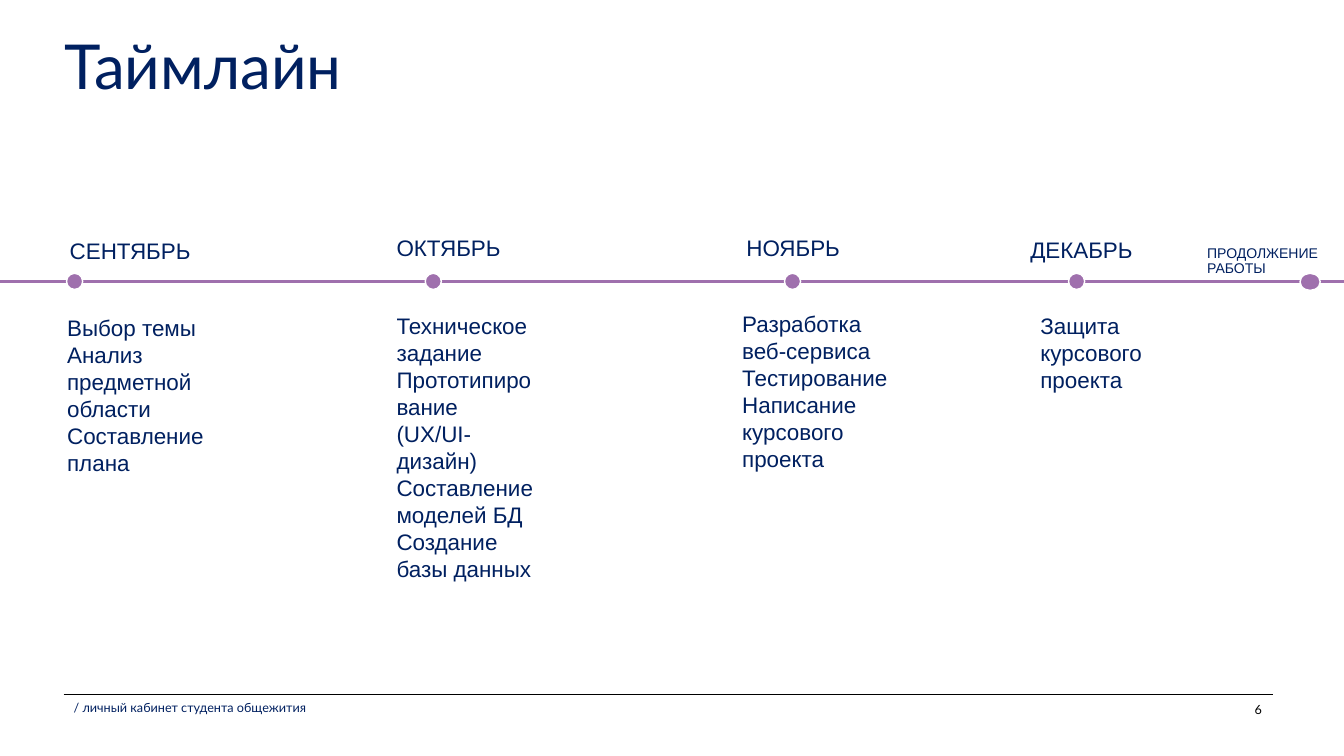
import pptx
import pptx.dml.color
import pptx.enum.shapes
import pptx.enum.text
import pptx.oxml.ns
import pptx.util
from lxml import etree

Pt = pptx.util.Pt
RGB = pptx.dml.color.RGBColor.from_string

# Content: heading and tasks per stage, each box as (left, top, width, height)
TITLE = "Таймлайн"
FOOTER = "/ личный кабинет студента общежития"
PAGE = "6"
MONTHS = [
    dict(name="СЕНТЯБРЬ", dot_x=53.2, head=(42.6, 167.2), body=(40.8, 220, 111.6, 143),
         tasks=["Выбор темы", "Анализ предметной области", "Составление плана"]),
    dict(name="ОКТЯБРЬ", dot_x=308.9, head=(275.6, 165.4), body=(275.6, 218.9, 111.6, 259),
         tasks=["Техническое задание", "Прототипирование (UX/UI-дизайн)",
                "Составление моделей БД", "Создание базы данных"]),
    dict(name="НОЯБРЬ", dot_x=565, head=(525, 165.2), body=(522, 217.4, 121.7, 124),
         tasks=["Разработка веб-сервиса", "Тестирование",
                "Написание курсового проекта"]),
    dict(name="ДЕКАБРЬ", dot_x=767.5, head=(727.4, 166.7), body=(734.6, 218.9, 111.6, 85),
         tasks=["Защита курсового проекта"]),
]
SEQUEL = dict(name="ПРОДОЛЖЕНИЕ РАБОТЫ", dot_x=934, head=(853.5, 171.8))

THEME = dict(
    ink=RGB("002060"), accent=RGB("9F70AD"), black=RGB("000000"), white=RGB("FFFFFF"),
    display="Lato", text="Arial",
    title_size=44.1, text_size=16, sequel_size=10, footer_size=9,
)
SLIDE_W, SLIDE_H = 958.12, 538.62
AXIS_Y = 200.5
RULE_Y = 495
MARGIN = 45.4
HEAD_W, HEAD_H = 126, 26
DOT = 11.5


def write(frame, lines, size, font, color=THEME["ink"], spacing=None, align=None):
    frame.word_wrap = True
    for i, line in enumerate(lines):
        paragraph = frame.paragraphs[0] if i == 0 else frame.add_paragraph()
        paragraph.text = line
        paragraph.font.size = Pt(size)
        paragraph.font.name = font
        paragraph.font.color.rgb = color
        paragraph.line_spacing = spacing
        paragraph.alignment = align


def add_text(slide, box, lines, size, font, **style):
    frame = slide.shapes.add_textbox(*map(Pt, box)).text_frame
    write(frame, lines, size, font, **style)
    return frame


def add_rule(slide, left, right, y, color, width):
    rule = slide.shapes.add_connector(
        pptx.enum.shapes.MSO_CONNECTOR.STRAIGHT, Pt(left), Pt(y), Pt(right), Pt(y))
    rule.line.color.rgb = color
    rule.line.width = Pt(width)
    etree.SubElement(rule.element.spPr, pptx.oxml.ns.qn("a:effectLst"))


def add_dot(slide, center_x, width=DOT, height=DOT):
    dot = slide.shapes.add_shape(
        pptx.enum.shapes.MSO_SHAPE.OVAL, Pt(center_x - width / 2),
        Pt(AXIS_Y - DOT / 2), Pt(width), Pt(height))
    dot.shadow.inherit = False
    dot.fill.solid()
    dot.fill.fore_color.rgb = THEME["accent"]
    dot.line.color.rgb = THEME["white"]
    dot.line.width = Pt(1)


def main():
    deck = pptx.Presentation()
    deck.slide_width, deck.slide_height = Pt(SLIDE_W), Pt(SLIDE_H)
    slide = deck.slides.add_slide(deck.slide_layouts[5])

    # Title
    title = slide.shapes.title
    title.left, title.top, title.width, title.height = map(Pt, (38.9, 35.3, 868.3, 28))
    title.text_frame.vertical_anchor = pptx.enum.text.MSO_ANCHOR.MIDDLE
    title.text_frame.auto_size = pptx.enum.text.MSO_AUTO_SIZE.NONE
    write(title.text_frame, [TITLE], THEME["title_size"], THEME["display"],
          spacing=0.9, align=pptx.enum.text.PP_ALIGN.LEFT)

    # Footer
    add_rule(slide, MARGIN, 907.2, RULE_Y, THEME["black"], 0.5)
    add_text(slide, (MARGIN, RULE_Y, 323.3, 28.8), [FOOTER],
             THEME["footer_size"], THEME["display"])
    add_text(slide, (691.4, 496.4, 215.3, 26), [PAGE], THEME["footer_size"],
             THEME["display"], color=THEME["black"],
             align=pptx.enum.text.PP_ALIGN.RIGHT)

    # Time axis with months and their tasks
    add_rule(slide, 0, SLIDE_W, AXIS_Y, THEME["accent"], 2.25)
    for month in MONTHS:
        add_dot(slide, month["dot_x"])
        add_text(slide, (*month["head"], HEAD_W, HEAD_H), [month["name"]],
                 THEME["text_size"], THEME["text"], spacing=0.9)
        tasks = add_text(slide, month["body"], month["tasks"], THEME["text_size"],
                         THEME["text"], spacing=Pt(19.25))
        tasks.auto_size = pptx.enum.text.MSO_AUTO_SIZE.SHAPE_TO_FIT_TEXT

    # Continuation after the last month
    add_dot(slide, SEQUEL["dot_x"], 14.4, 12.2)
    add_text(slide, (*SEQUEL["head"], 104, HEAD_H), [SEQUEL["name"]],
             THEME["sequel_size"], THEME["text"], spacing=0.9)

    deck.save("out.pptx")


if __name__ == "__main__":
    main()
